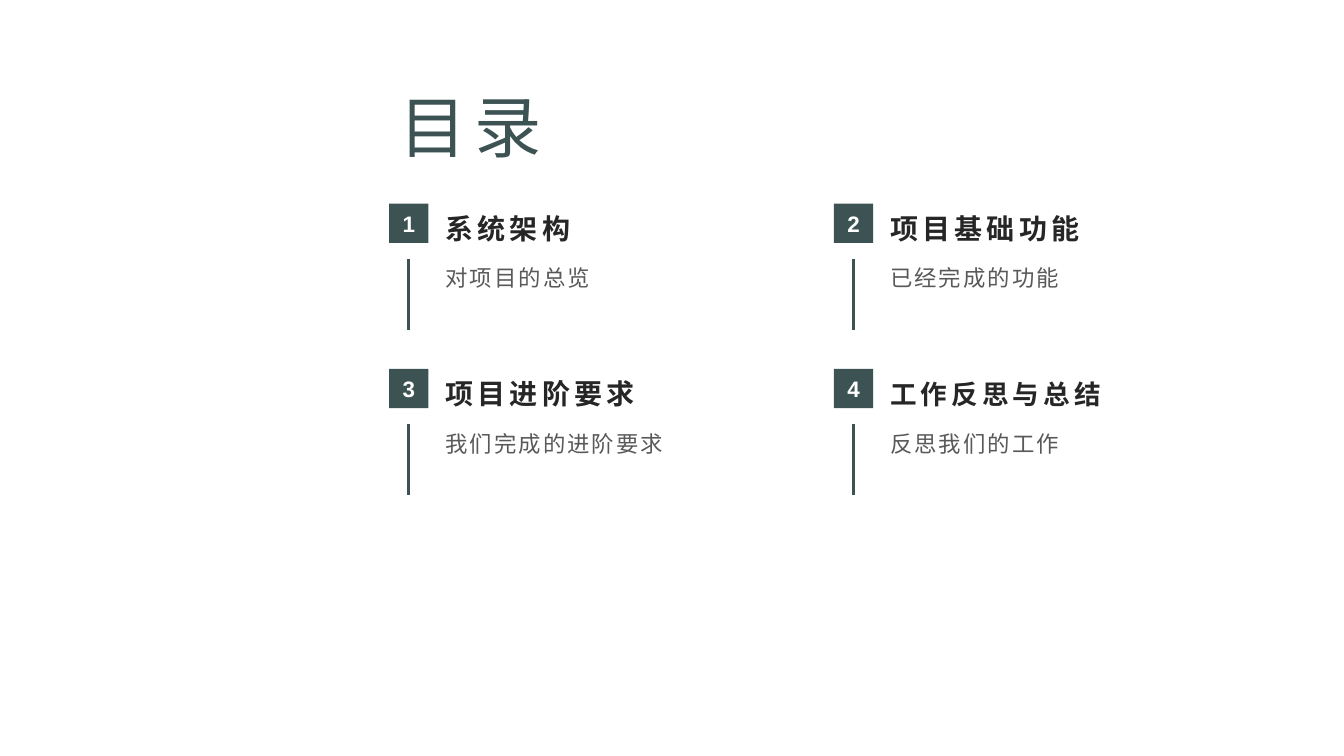
from lxml import etree
from pptx import Presentation
from pptx.dml.color import RGBColor
from pptx.enum.shapes import MSO_CONNECTOR, MSO_SHAPE
from pptx.enum.text import MSO_ANCHOR, PP_ALIGN
from pptx.oxml.ns import qn
from pptx.util import Inches, Pt

RECTANGLE = MSO_SHAPE.RECTANGLE
STRAIGHT = MSO_CONNECTOR.STRAIGHT
TOP, MIDDLE, BOTTOM = MSO_ANCHOR.TOP, MSO_ANCHOR.MIDDLE, MSO_ANCHOR.BOTTOM
CENTER = PP_ALIGN.CENTER

SLIDE_W, SLIDE_H = 13.33, 7.5
FONT = "Arial"
TEAL, WHITE, INK, GREY = "3C5253", "FFFFFF", "262626", "595959"

GRID_LEFT, GRID_TOP = 3.86, 2.01
COLUMN, ROW = 4.41, 1.64
COLUMNS = 2
BADGE = 0.39
LABEL_INDENT, LABEL_W = 0.46, 2.96
DETAIL_DROP = 0.56

ENTRIES = [
    ("系统架构", "对项目的总览", 20),
    ("项目基础功能", "已经完成的功能", 20),
    ("项目进阶要求", "我们完成的进阶要求", 20),
    ("工作反思与总结", "反思我们的工作", 19),
]


def rgb(color):
    """Turn a hex string into a colour."""
    return RGBColor.from_string(color)


def write(holder, text, size, color, bold=False, tracking=0, leading=None,
          anchor=TOP, insets=(0.1, 0.05, 0.1, 0.05)):
    """Fill a shape with one styled paragraph and return that paragraph."""
    frame = holder.text_frame
    frame.word_wrap = True
    frame.vertical_anchor = anchor
    (frame.margin_left, frame.margin_top,
     frame.margin_right, frame.margin_bottom) = map(Inches, insets)
    paragraph = frame.paragraphs[0]
    run = paragraph.add_run()
    run.text = text
    run._r.get_or_add_rPr().set("spc", str(round(tracking * 100)))
    paragraph.line_spacing = leading
    font = paragraph.font
    font.name, font.size, font.bold = FONT, Pt(size), bold
    font.color.rgb = rgb(color)
    return paragraph


def add_text(slide, box, *content, **style):
    """Place a text box in the given left, top, width and height."""
    holder = slide.shapes.add_textbox(*map(Inches, box))
    return write(holder, *content, **style)


def add_heading(slide, box):
    """Place the page heading."""
    add_text(slide, box, "目录", 48, TEAL, tracking=6, leading=1.2, anchor=MIDDLE)


def add_badge(slide, left, top, number):
    """Place the numbered square of an entry."""
    badge = slide.shapes.add_shape(
        RECTANGLE, *map(Inches, (left, top, BADGE, BADGE)))
    badge.shadow.inherit = False
    badge.fill.solid()
    badge.fill.fore_color.rgb = rgb(TEAL)
    badge.line.fill.background()
    numeral = write(badge, str(number), 16, WHITE, bold=True, anchor=MIDDLE,
                    insets=(0.05,) * 4)
    numeral.alignment = CENTER


def add_stem(slide, x, top, length):
    """Draw the vertical rule below a badge."""
    stem = slide.shapes.add_connector(
        STRAIGHT, *map(Inches, (x, top, x, top + length)))
    stem.line.color.rgb = rgb(TEAL)
    stem.line.width = Pt(2)
    etree.SubElement(stem._element.spPr, qn("a:effectLst"))


def add_entry(slide, left, top, number, title, detail, title_size):
    """Place one contents entry with its top left corner at the given point."""
    label_left, detail_top = left + LABEL_INDENT, top + DETAIL_DROP
    add_stem(slide, left + BADGE / 2, detail_top, 0.7)
    add_badge(slide, left, top + 0.01, number)
    add_text(slide, (label_left, top, LABEL_W, 0.42), title, title_size, INK,
             bold=True, tracking=3, anchor=BOTTOM, insets=(0.1, 0.05, 0.1, 0))
    add_text(slide, (label_left, detail_top, LABEL_W, 0.77), detail, 16, GREY,
             tracking=1.5, leading=1.2, insets=(0.1, 0, 0.1, 0.05))


def add_contents(slide, left, top):
    """Lay the entries out in rows and columns."""
    for index, entry in enumerate(ENTRIES):
        row, column = divmod(index, COLUMNS)
        add_entry(slide, left + column * COLUMN, top + row * ROW, index + 1, *entry)


def main():
    """Build and save the contents slide."""
    deck = Presentation()
    deck.slide_width, deck.slide_height = Inches(SLIDE_W), Inches(SLIDE_H)
    slide = deck.slides.add_slide(deck.slide_layouts[6])
    add_heading(slide, (GRID_LEFT, 0.67, 7.67, 0.99))
    add_contents(slide, GRID_LEFT, GRID_TOP)
    deck.save("out.pptx")


main()
